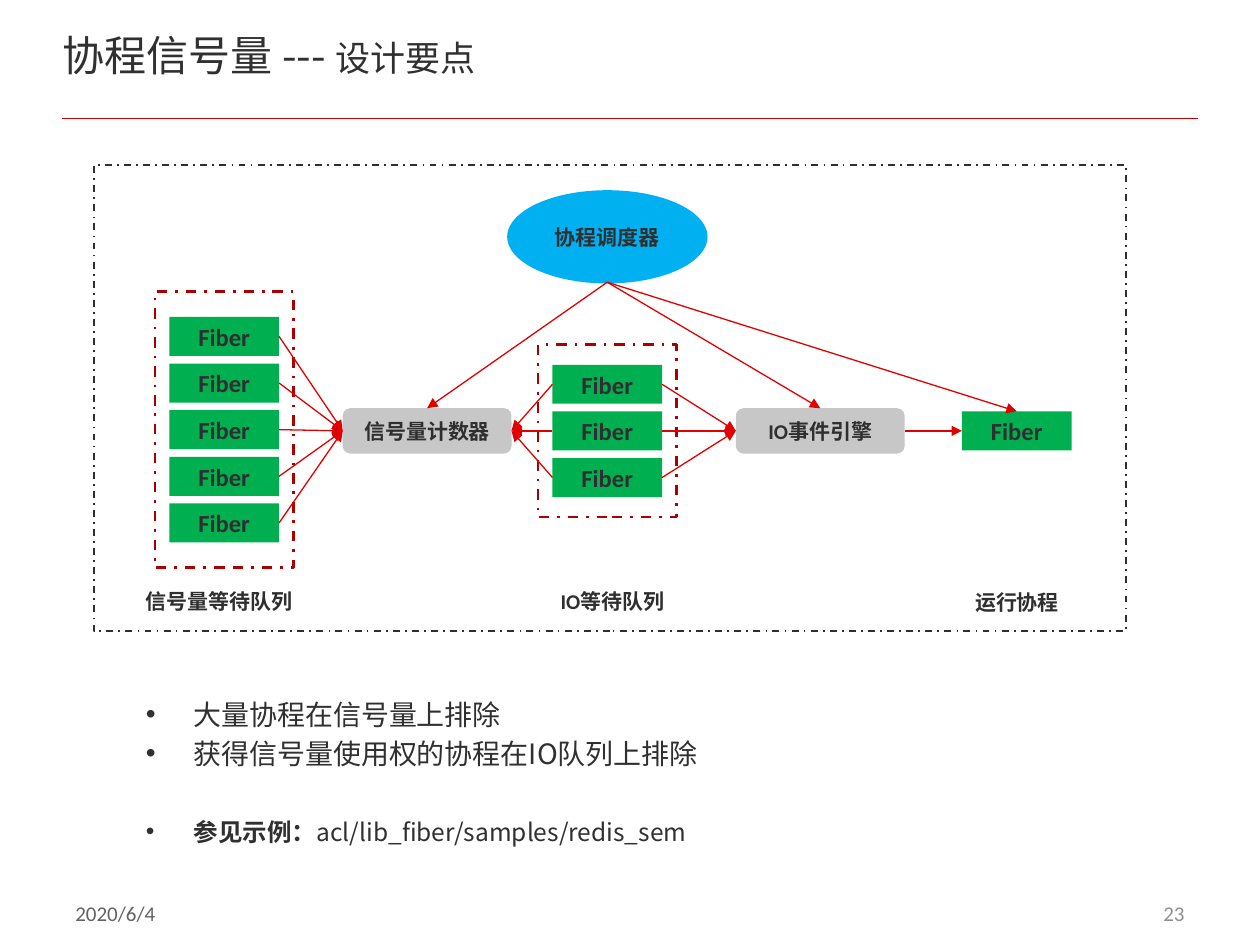
import pptx
import pptx.util
import pptx.dml.color
import pptx.enum.dml
import pptx.enum.shapes
import pptx.enum.text
import pptx.oxml
import pptx.oxml.ns

Inches, Pt = pptx.util.Inches, pptx.util.Pt
SHAPE = pptx.enum.shapes.MSO_SHAPE
ALIGN = pptx.enum.text.PP_ALIGN
ANCHOR = pptx.enum.text.MSO_ANCHOR

# Content
TITLE = [("协程信号量 --- ", 24, False), ("设计要点", 20, False)]
BULLETS = [  # space before, runs
    (0, [("大量协程在信号量上排除", 16, False)]),
    (2.8, [("获得信号量使用权的协程在IO队列上排除", 16, False)]),
    (24, [("参见示例：", 14, True), ("acl/lib_fiber/samples/redis_sem", 14, False)]),
]
DATE, PAGE = "2020/6/4", "23"
SCHEDULER = "协程调度器"
QUEUES = [  # fibers, centre x, centre y, frame height
    (5, 1.78, 3.41, 2.19),
    (3, 4.82, 3.42, 1.37),
]
STAGES = [("信号量计数器", 3.39), ("IO事件引擎", 6.51)]
LABELS = [  # text, left, top, width
    ("信号量等待队列", 1.06, 4.62, 1.5),
    ("IO等待队列", 4.35, 4.62, 1.12),
    ("运行协程", 7.64, 4.63, 1.12),
]

# Measures and styles
AXIS, PITCH = 3.42, 0.37
FIBER, STAGE, OVAL = (0.87, 0.31), (1.34, 0.36), (1.59, 0.74)
FRAME_WIDTH = 1.1
TOP, LEFT, RIGHT = 0, 1, 3  # connection sites
INK, TEXT, RED = "2F2F2F", "303030", "E10000"
LATIN, CJK = "Calibri", "Noto Sans CJK SC"

presentation = pptx.Presentation()
presentation.slide_width, presentation.slide_height = Inches(10), Inches(7.5)
slide = presentation.slides.add_slide(presentation.slide_layouts[6])


def rgb(value):
    return pptx.dml.color.RGBColor.from_string(value)


def add_element(parent, tag, **attributes):
    element = pptx.oxml.parse_xml(f"<a:{tag} {pptx.oxml.ns.nsdecls('a')}/>")
    for name, value in attributes.items():
        element.set(name, value)
    parent.append(element)


def add_runs(paragraph, runs, color, font=LATIN):
    for text, size, bold in runs:
        run = paragraph.add_run()
        run.text = text
        run.font.size, run.font.bold = Pt(size), bold
        run.font.name = font
        run.font.color.rgb = rgb(color)
        add_element(run.font._element, "ea", typeface=CJK)


def add_text(left, top, width, height, runs, color, font=LATIN,
             align=ALIGN.LEFT, anchor=ANCHOR.TOP):
    box = slide.shapes.add_textbox(*map(Inches, (left, top, width, height)))
    frame = box.text_frame
    frame.word_wrap, frame.vertical_anchor = True, anchor
    paragraph = frame.paragraphs[0]
    paragraph.alignment = align
    add_runs(paragraph, runs, color, font)
    return frame


def add_shape(kind, center_x, center_y, size, fill=None, label=None, text_size=12):
    width, height = size
    shape = slide.shapes.add_shape(
        kind, Inches(center_x - width / 2), Inches(center_y - height / 2),
        Inches(width), Inches(height))
    shape.shadow.inherit = False
    if fill:
        shape.fill.solid()
        shape.fill.fore_color.rgb = rgb(fill)
        shape.line.fill.background()
        frame = shape.text_frame
        frame.word_wrap, frame.vertical_anchor = True, ANCHOR.MIDDLE
        frame.margin_left = frame.margin_right = 0
        frame.paragraphs[0].alignment = ALIGN.CENTER
        add_runs(frame.paragraphs[0], [(label, text_size, True)], INK)
    else:
        shape.fill.background()
    return shape


def add_fiber(center_x, center_y):
    return add_shape(SHAPE.RECTANGLE, center_x, center_y, FIBER, "00B050", "Fiber", 14)


def add_frame(center_x, center_y, size, color, weight):
    line = add_shape(SHAPE.RECTANGLE, center_x, center_y, size).line
    line.color.rgb, line.width = rgb(color), Pt(weight)
    line.dash_style = pptx.enum.dml.MSO_LINE.DASH_DOT


def add_line(start, end, color, weight):
    connector = slide.shapes.add_connector(
        pptx.enum.shapes.MSO_CONNECTOR.STRAIGHT, *map(Inches, start + end))
    connector.line.color.rgb, connector.line.width = rgb(color), Pt(weight)
    add_element(connector._element.spPr, "effectLst")
    return connector


def add_arrow(target, target_site, source=None, source_site=None, start=(0, 0)):
    arrow = add_line(start, start, RED, 0.75)
    if source is not None:
        arrow.begin_connect(source, source_site)
    arrow.end_connect(target, target_site)
    add_element(arrow.line._get_or_add_ln(), "tailEnd", type="triangle")


# Title, rule and footer
frame = add_text(0.5, 0.2, 7.73, 0.7, TITLE, TEXT, CJK)
frame.margin_left = frame.margin_top = frame.margin_right = frame.margin_bottom = 0
frame.paragraphs[0].line_spacing = Pt(31)
add_line((0.49, 0.94), (9.51, 0.94), "C00000", 1)
add_text(0.5, 6.98, 2.33, 0.53, [(DATE, 12, False)], "636363", anchor=ANCHOR.MIDDLE)
add_text(7.17, 6.98, 2.33, 0.53, [(PAGE, 12, False)], "8F8F8F",
         align=ALIGN.RIGHT, anchor=ANCHOR.MIDDLE)

# Bullets
frame = add_text(1.06, 5.48, 7.6, 1.38, [], TEXT)
for index, (space, runs) in enumerate(BULLETS):
    paragraph = frame.add_paragraph() if index else frame.paragraphs[0]
    paragraph.line_spacing, paragraph.space_before = Pt(19.5), Pt(space)
    properties = paragraph._p.get_or_add_pPr()
    properties.set("marL", str(Inches(0.38)))
    properties.set("indent", str(-Inches(0.38)))
    add_element(properties, "buFont", typeface="Arial")
    add_element(properties, "buChar", char="•")
    add_runs(paragraph, runs, TEXT, CJK)

# Scheduler, stages and running fiber
add_shape(SHAPE.OVAL, 4.82, 1.88, OVAL, "00B0F0", SCHEDULER)
counter, engine = [
    add_shape(SHAPE.ROUNDED_RECTANGLE, center_x, AXIS, STAGE, "C7C7C7", label)
    for label, center_x in STAGES]
running = add_fiber(8.07, AXIS)

# Waiting queues
queues = []
for count, center_x, center_y, frame_height in QUEUES:
    queues.append([add_fiber(center_x, center_y + (row - (count - 1) / 2) * PITCH)
                   for row in range(count)])
    add_frame(center_x, center_y, (FRAME_WIDTH, frame_height), "AA0000", 1.5)

# Arrows
semaphore_queue, io_queue = queues
for fiber in semaphore_queue:
    add_arrow(counter, LEFT, fiber, RIGHT)
for fiber in io_queue:
    add_arrow(counter, RIGHT, fiber, LEFT)
    add_arrow(engine, LEFT, fiber, RIGHT)
add_arrow(running, LEFT, engine, RIGHT)
for target in (counter, engine, running):
    add_arrow(target, TOP, start=(4.82, 2.24))

# Labels and outer frame
for label, left, top, width in LABELS:
    add_text(left, top, width, 0.3, [(label, 12, True)], INK)
add_frame(4.84, 3.16, (8.19, 3.7), INK, 1)

presentation.save("out.pptx")
